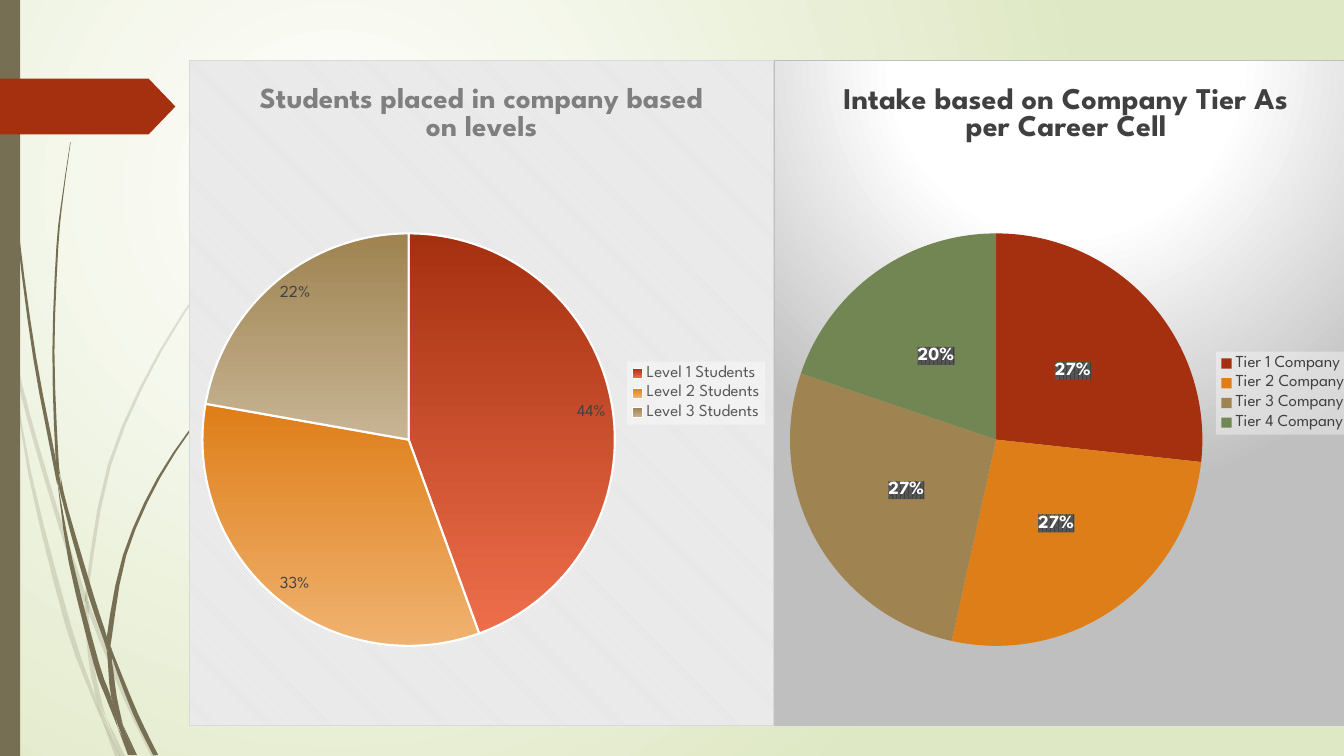
import dataclasses

import pptx
import pptx.chart.chart
import pptx.chart.data
import pptx.dml.color
import pptx.dml.fill
import pptx.enum.chart
import pptx.enum.shapes
import pptx.oxml
import pptx.oxml.ns
import pptx.slide
import pptx.text.text
import pptx.util

Pt = pptx.util.Pt
FONT = "League Spartan"
COLORS = {
    "olive": "766F54", "rust": "A53010", "coral": "EE6E4B", "orange": "DE7E18",
    "peach": "F0B270", "tan": "9F8351", "sand": "C8B594", "green": "728653",
    "white": "FFFFFF", "black": "000000", "meadow": "DFE8C4", "ash": "E6E6E6",
    "silver": "D9D9D9", "grey": "BFBFBF", "steel": "7F7F7F",
    "slate": "595959", "charcoal": "404040",
}
CHART_LEFT, CHART_TOP, CHART_WIDTH, CHART_HEIGHT = 135.2, 42.8, 417.6, 476
STEPS = 3
Knots = tuple[tuple[float, float, float], ...]


@dataclasses.dataclass(frozen=True)
class PieSlice:
    name: str
    value: int
    color: str
    fade: str = ""


@dataclasses.dataclass(frozen=True)
class PiePanel:
    title: str
    title_size: float
    title_color: str
    legend_color: str
    slices: tuple[PieSlice, ...]
    background: str
    border: str
    plot_box: tuple[float, float, float, float]
    label_size: float
    label_color: str
    label_position: pptx.enum.chart.XL_LABEL_POSITION
    label_background: str = ""
    outlined: bool = False


def solid_xml(name: str, opacity: int = 100) -> str:
    return (f'<a:solidFill><a:srgbClr val="{COLORS[name]}">'
            f'<a:alpha val="{opacity * 1000}"/></a:srgbClr></a:solidFill>')


def pattern_xml(preset: str, front: str, back: str) -> str:
    return (f'<a:pattFill prst="{preset}"><a:fgClr><a:srgbClr val="{COLORS[front]}"/></a:fgClr>'
            f'<a:bgClr><a:srgbClr val="{COLORS[back]}"/></a:bgClr></a:pattFill>')


def circle_xml(left: int, top: int, right: int, bottom: int) -> str:
    return (f'<a:path path="circle"><a:fillToRect l="{left * 1000}" t="{top * 1000}" '
            f'r="{right * 1000}" b="{bottom * 1000}"/></a:path>')


def radial_xml(stops: tuple[tuple[int, str], ...], focus: tuple[int, int, int, int]) -> str:
    marks = "".join(f'<a:gs pos="{position * 1000}"><a:srgbClr val="{COLORS[name]}"/></a:gs>'
                    for position, name in stops)
    return f'<a:gradFill rotWithShape="1"><a:gsLst>{marks}</a:gsLst>{circle_xml(*focus)}</a:gradFill>'


PALE_BLADES: tuple[Knots, ...] = (
    ((0.5, 203, 0), (5.9, 238, 2.2), (7.9, 252, 0)),
    ((10.1, 248.4, 0), (13.7, 270.7, 2.5), (24.4, 311.8, 3), (43.4, 375.8, 3.2),
     (58.8, 422, 3.2), (60.5, 431.3, 0)),
    ((63.4, 429.1, 0), (64.8, 437.8, 2.9), (90, 499, 3.6), (109.8, 540, 3.6)),
    ((75.6, 512, 0), (87.5, 540, 3.6)),
    ((7.9, 252, 0), (21.3, 338.4, 2.3), (48.6, 446.4, 4), (67.3, 499, 2.2), (72.7, 514, 0)),
    ((60.5, 431.3, 0), (62, 439, 2.7), (64, 465, 2.9), (68.8, 492, 3.4), (75.6, 512, 0)),
    ((224.6, 110.2, 0.4), (193.3, 141.8, 0.7), (164.8, 175.7, 1.2), (114.7, 250.6, 1.9),
     (78.2, 332, 2.4), (62.3, 420.5, 2.2), (63.4, 429, 0)),
    ((72.7, 514, 0), (83.9, 540, 3.6)),
    ((61.2, 421.9, 0), (62, 431, 2.5), (63.4, 439, 0)),
    ((67, 492, 0), (74.1, 514, 2.8), (85.7, 540, 0.3)),
)
DARK_BLADES: tuple[Knots, ...] = (
    ((2.5, 0, 0.6), (5.4, 78.5, 0.8), (13, 167.8, 1.4), (24.8, 255.6, 2.2),
     (38.2, 326.2, 2.5), (41, 346, 0.3)),
    ((43.2, 339.8, 0), (47.3, 363.6, 2.6), (65.3, 426.2, 3.8), (75.2, 456, 3), (76.3, 464.4, 0)),
    ((79.2, 461.5, 0), (81.1, 470, 2.2), (96.8, 509.8, 3.6), (111.2, 539.3, 3.6)),
    ((41, 343.4, 0), (50.5, 401, 3), (68.8, 473.8, 4), (77.3, 497.5, 3.8), (84.2, 519.8, 0)),
    ((50.4, 101.5, 0.3), (45, 139, 0.8), (41, 176.4, 1.4), (38.2, 251.3, 1.5),
     (40.6, 324, 2), (43.2, 339.8, 0)),
    ((87.8, 517.7, 0), (96.8, 539.3, 2.2)),
    ((39.6, 323.3, 0), (42, 343.4, 2), (46.1, 363.6, 0)),
    ((187.5, 247.7, 0.5), (166.3, 269, 0.7), (147.2, 291.6, 1), (113.4, 341.3, 2),
     (89, 396.7, 2.4), (78.1, 455, 3.6), (79.2, 461.5, 0)),
    ((84.2, 519.8, 0), (92.9, 539.3, 2.9)),
    ((76.3, 464.4, 0), (78.5, 472.3, 2.9), (81.4, 497.5, 4), (87.8, 517.7, 0)),
    ((76.3, 454.3, 0), (78.1, 464.4, 3), (79.9, 472.3, 0)),
    ((79.2, 497.5, 0), (86, 518, 3.6), (94.7, 539.3, 2.2)),
)
PANELS = (
    PiePanel("Students placed in company based on levels", 20.8, "steel", "slate",
             (PieSlice("Level 1 Students", 44, "rust", "coral"),
              PieSlice("Level 2 Students", 33, "orange", "peach"),
              PieSlice("Level 3 Students", 22, "tan", "sand")),
             pattern_xml("dkDnDiag", "white", "ash"), "silver", (0.02, 0.26, 0.71, 0.62),
             12, "charcoal", pptx.enum.chart.XL_LABEL_POSITION.INSIDE_END, outlined=True),
    PiePanel("Intake based on Company Tier As per Career Cell", 21.5, "charcoal", "charcoal",
             (PieSlice("Tier 1 Company", 27, "rust"), PieSlice("Tier 2 Company", 27, "orange"),
              PieSlice("Tier 3 Company", 27, "tan"), PieSlice("Tier 4 Company", 20, "green")),
             radial_xml(((0, "white"), (39, "white"), (100, "grey")), (50, -80, 50, 180)),
             "grey", (0.02, 0.26, 0.72, 0.62), 13.3, "white",
             pptx.enum.chart.XL_LABEL_POSITION.CENTER, pattern_xml("pct75", "charcoal", "slate")),
)


def rgb(name: str) -> pptx.dml.color.RGBColor:
    return pptx.dml.color.RGBColor.from_string(COLORS[name])


def style_font(font: pptx.text.text.Font, size: float, color: str, bold: bool = False) -> None:
    font.name, font.size, font.bold = FONT, Pt(size), bold
    font.color.rgb = rgb(color)


def fill_gradient(fill: pptx.dml.fill.FillFormat, first: str, last: str) -> None:
    fill.gradient()
    for stop, name in zip(fill.gradient_stops, (first, last)):
        stop.color.rgb = rgb(name)


def paint_background(slide: pptx.slide.Slide) -> None:
    fill_gradient(slide.background.fill, "white", "meadow")
    direction = slide.element.xpath("p:cSld/p:bg//a:lin")[0]
    namespaces = pptx.oxml.ns.nsdecls("a")
    circle = circle_xml(50, 50, 100, 100).replace("<a:path", f"<a:path {namespaces}", 1)
    direction.getparent().replace(direction, pptx.oxml.parse_xml(circle))


def smooth_knots(knots: Knots) -> list[tuple[float, ...]]:
    padded = (knots[0], *knots, knots[-1])
    samples = []
    for a, b, c, d in zip(padded, padded[1:], padded[2:], padded[3:]):
        for t in (step / STEPS for step in range(STEPS)):
            samples.append(tuple(
                q + t / 2 * (r - p + t * (2 * p - 5 * q + 4 * r - s + t * (3 * (q - r) + s - p)))
                for p, q, r, s in zip(a, b, c, d)))
    return samples + [knots[-1]]


def paint_shape(shape: pptx.shapes.autoshape.Shape, color: str, opacity: int = 100) -> None:
    shape.shadow.inherit = False
    shape.fill.solid()
    shape.fill.fore_color.rgb = rgb(color)
    shape.line.fill.background()
    if opacity < 100:
        tint = shape.element.xpath("p:spPr/a:solidFill/a:srgbClr")[0]
        namespaces = pptx.oxml.ns.nsdecls("a")
        tint.append(pptx.oxml.parse_xml(f'<a:alpha {namespaces} val="{opacity * 1000}"/>'))


def draw_blade(slide: pptx.slide.Slide, knots: Knots, opacity: int) -> None:
    samples = smooth_knots(knots)
    outline = [(Pt(x - width / 2), Pt(y)) for x, y, width in samples]
    outline += [(Pt(x + width / 2), Pt(y)) for x, y, width in reversed(samples)]
    builder = slide.shapes.build_freeform(*outline[0])
    builder.add_line_segments(outline[1:], close=True)
    paint_shape(builder.convert_to_shape(), "olive", opacity)


def frame_part(chart: pptx.chart.chart.Chart, query: str, fill: str, border: str = "") -> None:
    line = f'<a:ln w="{Pt(0.75)}">{solid_xml(border)}</a:ln>' if border else "<a:ln><a:noFill/></a:ln>"
    namespaces = pptx.oxml.ns.nsdecls("c", "a")
    frame = pptx.oxml.parse_xml(f"<c:spPr {namespaces}>{fill}{line}</c:spPr>")
    chart.element.xpath(query)[0].addprevious(frame)


def place_plot(chart: pptx.chart.chart.Chart, box: tuple[float, float, float, float]) -> None:
    area = chart.element.xpath("c:chart/c:plotArea")[0]
    for layout in area.xpath("c:layout"):
        area.remove(layout)
    modes = '<c:layoutTarget val="inner"/><c:xMode val="edge"/><c:yMode val="edge"/>'
    sizes = "".join(f'<c:{key} val="{value}"/>' for key, value in zip("xywh", box))
    area.insert(0, pptx.oxml.parse_xml(
        f'<c:layout {pptx.oxml.ns.nsdecls("c")}><c:manualLayout>{modes}{sizes}</c:manualLayout></c:layout>'))


def draw_pie(slide: pptx.slide.Slide, panel: PiePanel, left: float) -> None:
    data = pptx.chart.data.CategoryChartData()
    data.categories = [piece.name for piece in panel.slices]
    data.add_series("Series 1", [piece.value for piece in panel.slices])
    chart = slide.shapes.add_chart(pptx.enum.chart.XL_CHART_TYPE.PIE, Pt(left), Pt(CHART_TOP),
                                   Pt(CHART_WIDTH), Pt(CHART_HEIGHT), data).chart
    style_font(chart.font, 10, "black")
    frame_part(chart, "c:txPr", panel.background, panel.border)
    chart.has_title = True
    run = chart.chart_title.text_frame.paragraphs[0].add_run()
    run.text = panel.title
    style_font(run.font, panel.title_size, panel.title_color, True)
    chart.has_legend = True
    chart.legend.position = pptx.enum.chart.XL_LEGEND_POSITION.RIGHT
    chart.legend.include_in_layout = False
    style_font(chart.legend.font, 12, panel.legend_color)
    frame_part(chart, "c:chart/c:legend/c:txPr", solid_xml("white", 39))
    place_plot(chart, panel.plot_box)
    plot = chart.plots[0]
    plot.vary_by_categories = True
    series = plot.series[0]
    for index, piece in enumerate(panel.slices):
        look = series.points[index].format
        if piece.fade:
            fill_gradient(look.fill, piece.color, piece.fade)
            look.fill.gradient_angle = 270
        else:
            look.fill.solid()
            look.fill.fore_color.rgb = rgb(piece.color)
        if panel.outlined:
            look.line.color.rgb = rgb("white")
            look.line.width = Pt(1.5)
        else:
            look.line.fill.background()
    labels = series.data_labels
    labels.show_value, labels.show_percentage = False, True
    labels.position = panel.label_position
    style_font(labels.font, panel.label_size, panel.label_color, bool(panel.label_background))
    if panel.label_background:
        frame_part(chart, ".//c:ser/c:dLbls/c:txPr", panel.label_background)


def main() -> None:
    presentation = pptx.Presentation()
    presentation.slide_width, presentation.slide_height = Pt(960), Pt(540)
    slide = presentation.slides.add_slide(presentation.slide_layouts[6])
    paint_background(slide)
    for blades, opacity in ((PALE_BLADES, 20), (DARK_BLADES, 100)):
        for knots in blades:
            draw_blade(slide, knots, opacity)
    kinds = pptx.enum.shapes.MSO_SHAPE
    side_bar = slide.shapes.add_shape(kinds.RECTANGLE, Pt(0), Pt(0), Pt(14.4), Pt(540))
    paint_shape(side_bar, "olive")
    arrow = slide.shapes.add_shape(kinds.PENTAGON, Pt(0), Pt(56.2), Pt(125.3), Pt(39.8))
    arrow.adjustments[0] = 0.48
    paint_shape(arrow, "rust")
    for index, panel in enumerate(PANELS):
        draw_pie(slide, panel, CHART_LEFT + index * CHART_WIDTH)
    presentation.save("out.pptx")


main()
